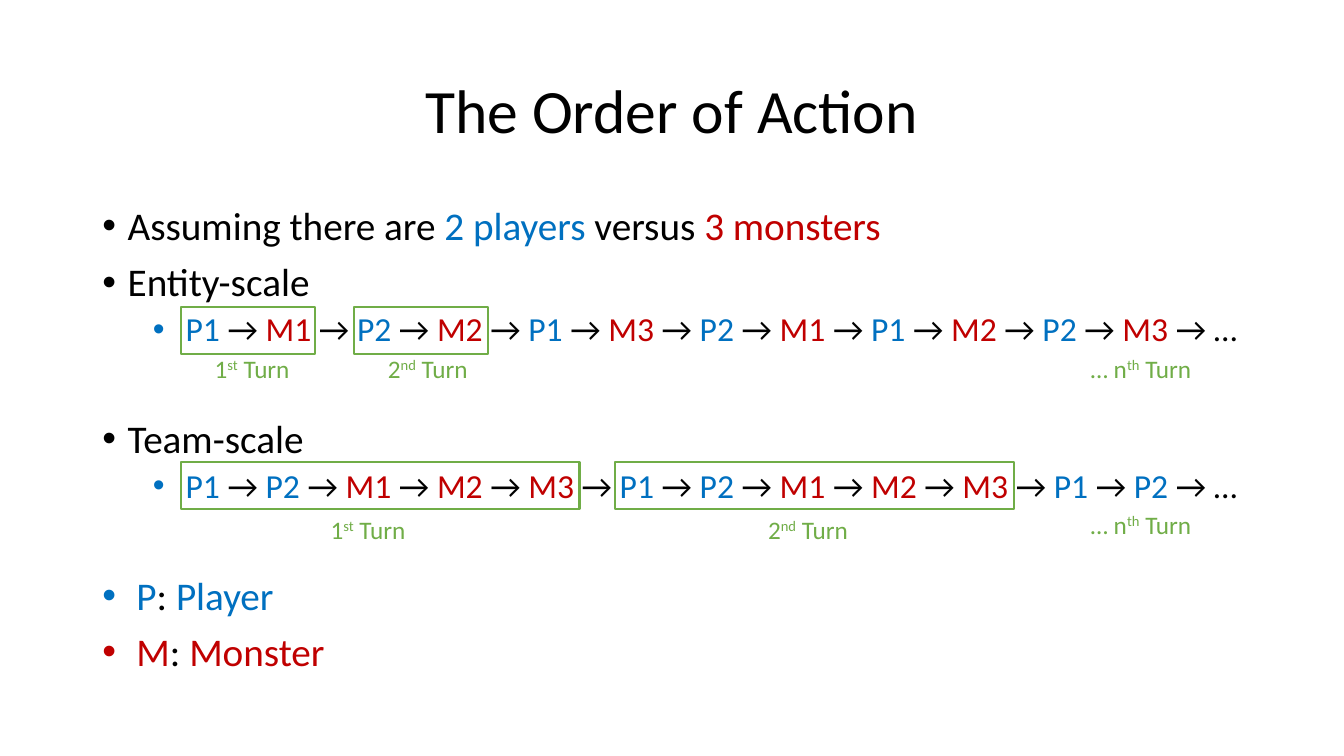
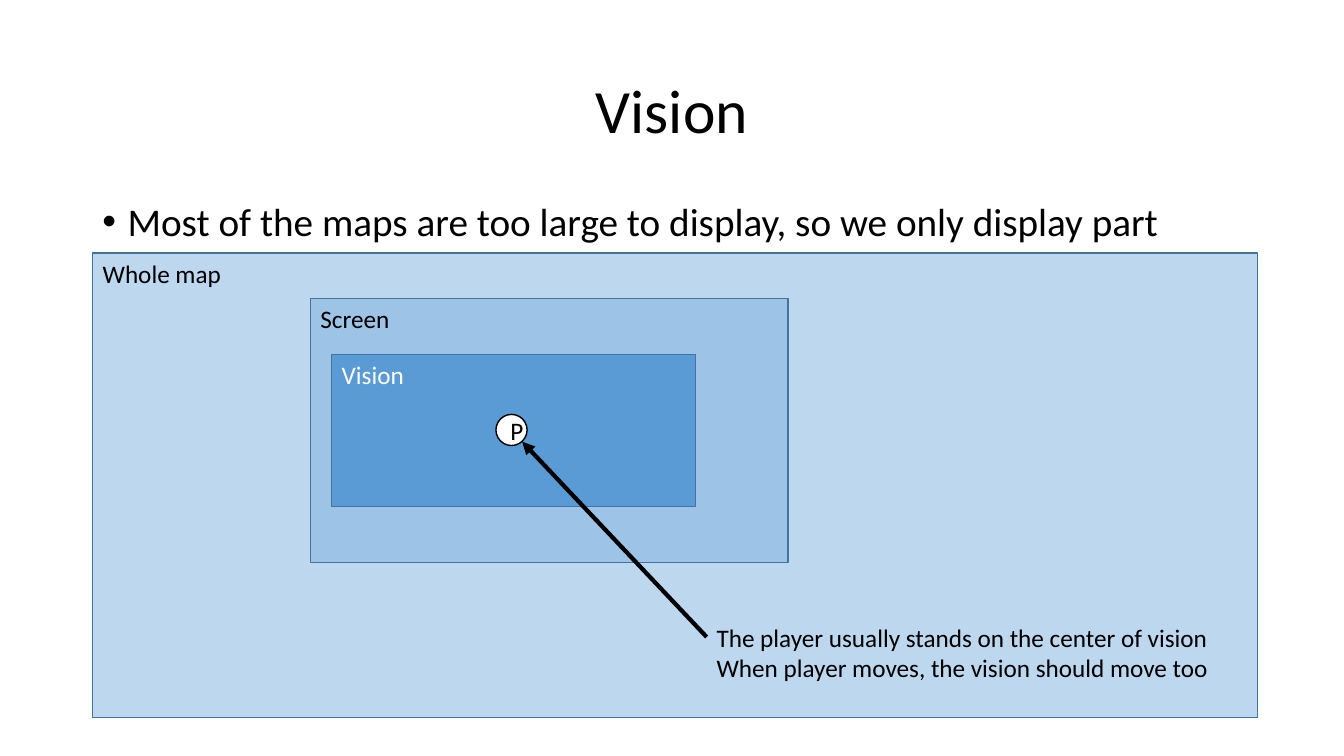
import collections
import pptx
import pptx.dml.color
import pptx.enum.shapes
import pptx.enum.text
import pptx.oxml.ns
import pptx.util
import lxml.etree

Pt = pptx.util.Pt
Anchor = pptx.enum.text.MSO_ANCHOR
Align = pptx.enum.text.PP_ALIGN
Shape = pptx.enum.shapes.MSO_SHAPE
Box = collections.namedtuple("Box", "left top width height")
Bullet = collections.namedtuple("Bullet", "runs level gap pad", defaults=(0, 10, 0))

# ---- Content: a run is (text, role) or (text, role, "super") ----
ORDER_TITLE = "The Order of Action"
ENTITY_ORDER = "P1 M1 P2 M2 P1 M3 P2 M1 P1 M2 P2 M3"
TEAM_ORDER = "P1 P2 M1 M2 M3 P1 P2 M1 M2 M3 P1 P2"
ASSUMPTION = [("Assuming there are ", "text"), ("2 players", "player"),
              (" versus ", "text"), ("3 monsters", "monster")]
PLAYER_KEY = [("P", "player"), (": ", "text"), ("Player", "player")]
MONSTER_KEY = [("M", "monster"), (": ", "text"), ("Monster", "monster")]

# number, ordinal ending, label width
FIRST, SECOND, NTH = ("1", "st", 70), ("2", "nd", 73.5), ("… n", "th", 88.5)
# frame top, frame width, frame lefts
TURN_FRAMES = [(219, 95.75, (129, 252.75)), (329.75, 285, (129, 439.25))]
# turn, left, top
TURN_LABELS = [(FIRST, 146.25, 248.5), (SECOND, 270, 248.5), (NTH, 772, 248.5),
               (FIRST, 229, 363.5), (SECOND, 541.5, 363.5), (NTH, 772, 360)]

VISION_TITLE = "Vision"
VISION_POINT = "Most of the maps are too large to display, so we only display part"
# label, fill role, label role, box
AREAS = [("Whole map", "map", "text", Box(66.25, 180.75, 832.25, 332)),
         ("Screen", "screen", "text", Box(221.75, 213.25, 341.25, 188.5)),
         ("Vision", "vision", "paper", Box(237, 253.25, 260, 108.75))]
PLAYER_BOX = Box(354.25, 296, 22.25, 22.25)
ARROW = (504.75, 455, 373, 315.5)
PLAYER_NOTE = ["The player usually stands on the center of vision",
               "When player moves, the vision should move too"]
NOTE_BOX = Box(504.75, 440.75, 370, 51)


class Theme:
    """Colours, type sizes and positions that the slides share."""
    font = "Calibri"
    title, body, sub, label = 44, 28, 24, 18
    colors = dict(text="000000", paper="FFFFFF", player="0070C0", monster="C00000",
                  turn="70AD47", map="BDD7EE", screen="9DC3E6", vision="5B9BD5",
                  edge="43739E")
    title_box = Box(66, 28.75, 828, 104.5)
    body_left, body_top, body_width = 66, 144, 828
    frame_height, label_height = 33.75, 29
    level_indent, hang = 36, 18
    section_gap = 50.75


def rgb(role):
    """Return the theme colour of a role."""
    return pptx.dml.color.RGBColor.from_string(Theme.colors[role])


def place(shape, box):
    """Move and size a shape."""
    shape.left, shape.top, shape.width, shape.height = map(Pt, box)


def add_runs(paragraph, runs, size):
    """Write coloured runs into a paragraph."""
    for text, role, *style in runs:
        run = paragraph.add_run()
        run.text = text
        run.font.name, run.font.size = Theme.font, Pt(size)
        run.font.color.rgb = rgb(role)
        if "super" in style:
            run._r.get_or_add_rPr().set("baseline", "30000")


def paragraphs(frame, count):
    """Yield the first paragraph of a frame, then new ones."""
    for index in range(count):
        yield frame.add_paragraph() if index else frame.paragraphs[0]


def add_child(parent, tag, **attributes):
    """Append a DrawingML element."""
    child = lxml.etree.SubElement(parent, pptx.oxml.ns.qn(tag))
    for key, value in attributes.items():
        child.set(key, value)


def set_bullet(paragraph, level, pad):
    """Give a paragraph a round bullet and a hanging indent."""
    paragraph.level = level
    properties = paragraph._p.get_or_add_pPr()
    hang = Theme.hang + pad
    properties.set("marL", str(int(Pt(level * Theme.level_indent + hang))))
    properties.set("indent", str(-int(Pt(hang))))
    add_child(properties, "a:buFont", typeface="Arial")
    add_child(properties, "a:buChar", char="•")


def add_slide(deck, title, bullets, body_height, spacing=0.9):
    """Add a slide with its title and bullet list."""
    slide = deck.slides.add_slide(deck.slide_layouts[1])
    heading, body = slide.shapes.title, slide.placeholders[1]
    place(heading, Theme.title_box)
    place(body, (Theme.body_left, Theme.body_top, Theme.body_width, body_height))
    for holder, anchor in ((heading, Anchor.MIDDLE), (body, Anchor.TOP)):
        holder.text_frame.auto_size = pptx.enum.text.MSO_AUTO_SIZE.NONE
        holder.text_frame.vertical_anchor = anchor
    first = heading.text_frame.paragraphs[0]
    first.alignment, first.line_spacing = Align.CENTER, 0.9
    add_runs(first, [(title, "text")], Theme.title)
    for paragraph, bullet in zip(paragraphs(body.text_frame, len(bullets)), bullets):
        paragraph.line_spacing, paragraph.space_before = spacing, Pt(bullet.gap)
        set_bullet(paragraph, bullet.level, bullet.pad)
        add_runs(paragraph, bullet.runs, Theme.sub if bullet.level else Theme.body)
    return slide


def add_shape(slide, kind, box, edge, weight, fill=None):
    """Add an outlined shape, filled if a fill role is given."""
    shape = slide.shapes.add_shape(kind, *map(Pt, box))
    shape.shadow.inherit = False
    shape.line.color.rgb, shape.line.width = rgb(edge), Pt(weight)
    if fill:
        shape.fill.solid()
        shape.fill.fore_color.rgb = rgb(fill)
    else:
        shape.fill.background()
    return shape


def add_text(slide, box, lines):
    """Add a label; each line is a list of runs."""
    frame = slide.shapes.add_textbox(*map(Pt, box)).text_frame
    frame.word_wrap = False
    frame.auto_size = pptx.enum.text.MSO_AUTO_SIZE.SHAPE_TO_FIT_TEXT
    for paragraph, runs in zip(paragraphs(frame, len(lines)), lines):
        add_runs(paragraph, runs, Theme.label)


def label_shape(shape, text, role, align, anchor):
    """Write a label inside a shape."""
    shape.text_frame.vertical_anchor = anchor
    paragraph = shape.text_frame.paragraphs[0]
    paragraph.alignment = align
    add_runs(paragraph, [(text, role)], Theme.label)


def add_arrow(slide, ends, weight):
    """Add a straight line with an arrowhead at its end."""
    arrow = slide.shapes.add_connector(
        pptx.enum.shapes.MSO_CONNECTOR.STRAIGHT, *map(Pt, ends))
    arrow.line.color.rgb, arrow.line.width = rgb("text"), Pt(weight)
    properties = arrow._element.spPr
    add_child(properties.find(pptx.oxml.ns.qn("a:ln")), "a:tailEnd", type="triangle")
    add_child(properties, "a:effectLst")


def order_runs(order):
    """Turn a list of entities into coloured runs joined by arrows."""
    runs = []
    for entity in order.split():
        role = "player" if entity.startswith("P") else "monster"
        runs += [(entity + " ", role), ("→ ", "text")]
    return runs[:-1] + [("→ …", "text")]


def build_order(deck):
    """Build the slide on the order of action."""
    slide = add_slide(deck, ORDER_TITLE, [
        Bullet(ASSUMPTION),
        Bullet([("Entity-scale", "text")]),
        Bullet(order_runs(ENTITY_ORDER), 1, 5, 5.4),
        Bullet([("Team-scale", "text")], gap=Theme.section_gap),
        Bullet(order_runs(TEAM_ORDER), 1, 5, 5.4),
        Bullet(PLAYER_KEY, gap=Theme.section_gap, pad=6.3),
        Bullet(MONSTER_KEY, pad=6.3)], 342.75)
    for top, width, lefts in TURN_FRAMES:
        for left in lefts:
            add_shape(slide, Shape.RECTANGLE,
                      Box(left, top, width, Theme.frame_height), "turn", 1.5)
    for (number, ending, width), left, top in TURN_LABELS:
        add_text(slide, Box(left, top, width, Theme.label_height),
                 [[(number, "turn"), (ending, "turn", "super"), (" Turn", "turn")]])


def build_vision(deck):
    """Build the slide on the map, the screen and the vision."""
    slide = add_slide(deck, VISION_TITLE, [Bullet([(VISION_POINT, "text")])], 36.75, 0.8)
    for name, fill, role, box in AREAS:
        area = add_shape(slide, Shape.RECTANGLE, box, "edge", 1, fill)
        label_shape(area, name, role, Align.LEFT, Anchor.TOP)
    player = add_shape(slide, Shape.OVAL, PLAYER_BOX, "text", 1, "paper")
    label_shape(player, "P", "text", Align.CENTER, Anchor.MIDDLE)
    add_arrow(slide, ARROW, 3)
    add_text(slide, NOTE_BOX, [[(line, "text")] for line in PLAYER_NOTE])


deck = pptx.Presentation()
deck.slide_width, deck.slide_height = Pt(960), Pt(540)
build_order(deck)
build_vision(deck)
deck.save("out.pptx")
